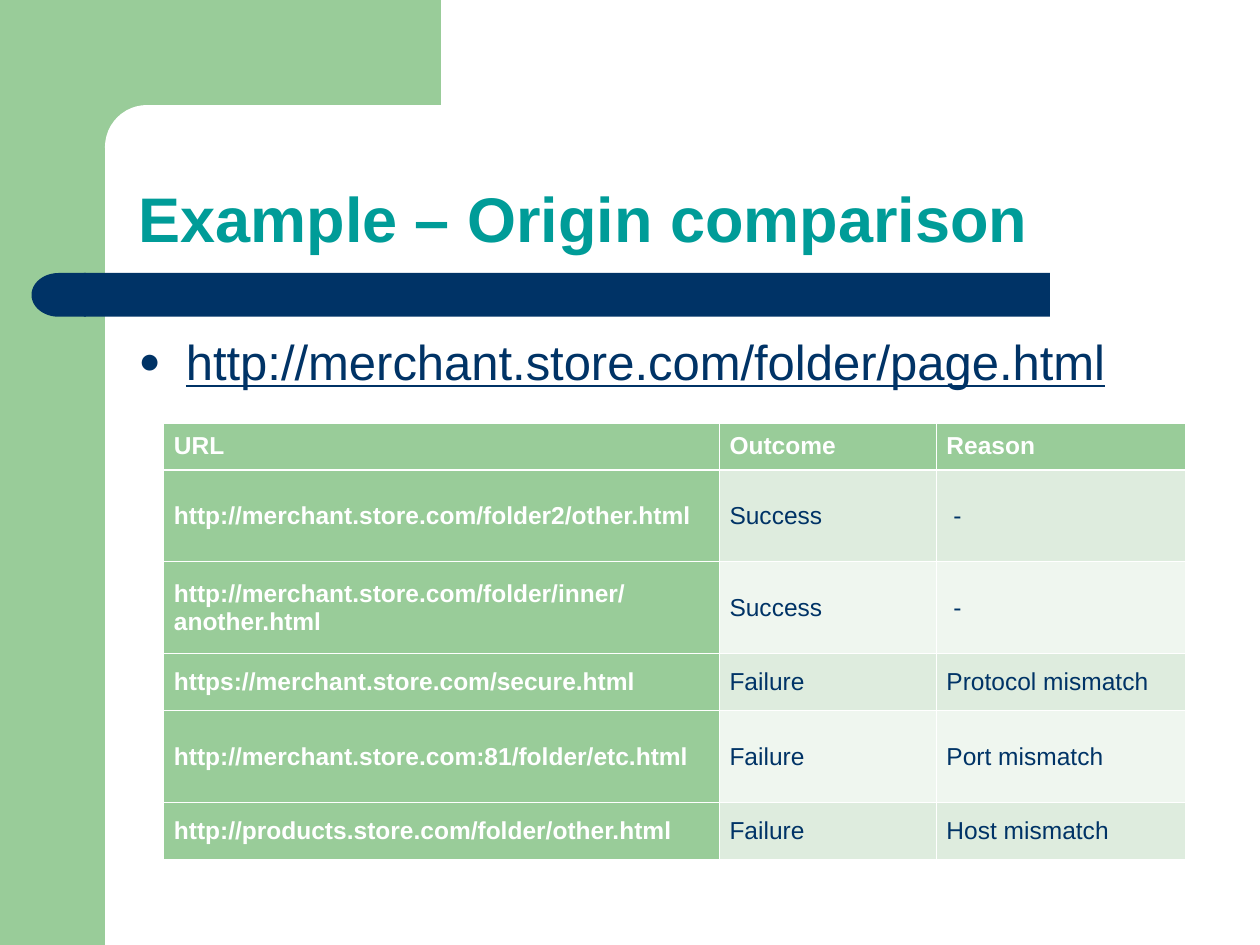
from dataclasses import dataclass

from lxml.etree import SubElement
from pptx import Presentation
from pptx.dml.color import RGBColor
from pptx.enum.shapes import MSO_SHAPE
from pptx.enum.text import MSO_ANCHOR, MSO_AUTO_SIZE, PP_ALIGN
from pptx.oxml.ns import qn
from pptx.util import Pt

GREEN, NAVY, TEAL, WHITE = "99CC99", "003366", "009C98", "FFFFFF"
BANDS = ("DEECDE", "EFF6EF")
THIN, THICK = 0.45, 1.47


@dataclass(frozen=True)
class Panel:
    kind: MSO_SHAPE
    left: float
    top: float
    width: float
    height: float
    color: str
    corner: float | None = None
    turn: float = 0


@dataclass(frozen=True)
class Comparison:
    url: str
    outcome: str
    reason: str
    height: float


PANELS = (
    Panel(MSO_SHAPE.RECTANGLE, 0, 0, 60, 540, GREEN),
    Panel(MSO_SHAPE.RECTANGLE, 54, 0, 198, 84, GREEN),
    Panel(MSO_SHAPE.ROUNDED_RECTANGLE, 60, 60, 402, 48, WHITE, corner=0.5),
    Panel(MSO_SHAPE.ROUNDED_RECTANGLE, 48, 156, 552, 25, NAVY, corner=0),
    Panel(MSO_SHAPE.FLOWCHART_DELAY, 18, 156, 31, 25, NAVY, turn=180),
)

COMPARISONS = (
    Comparison("URL", "Outcome", "Reason", 26.6),
    Comparison("http://merchant.store.com/folder2/other.html", "Success", " -", 52.6),
    Comparison("http://merchant.store.com/folder/inner/another.html", "Success", " -", 52.6),
    Comparison("https://merchant.store.com/secure.html", "Failure", "Protocol mismatch", 32.6),
    Comparison("http://merchant.store.com:81/folder/etc.html", "Failure", "Port mismatch", 52.6),
    Comparison("http://products.store.com/folder/other.html", "Failure", "Host mismatch", 32.6),
)
COLUMN_WIDTHS = (317.5, 124, 142.5)


def rgb(color: str) -> RGBColor:
    return RGBColor.from_string(color)


def style(paragraph, size: float, color: str, bold: bool = False) -> None:
    font = paragraph.font
    font.name, font.size, font.bold = "Arial", Pt(size), bold
    font.color.rgb = rgb(color)


def draw_panel(slide, panel: Panel) -> None:
    shape = slide.shapes.add_shape(
        panel.kind, Pt(panel.left), Pt(panel.top), Pt(panel.width), Pt(panel.height)
    )
    shape.shadow.inherit = False
    shape.fill.solid()
    shape.fill.fore_color.rgb = rgb(panel.color)
    shape.line.fill.background()
    shape.rotation = panel.turn
    if panel.corner is not None:
        shape.adjustments[0] = panel.corner


def fill_placeholder(placeholder, text: str, top: float, height: float, anchor: MSO_ANCHOR):
    """Place the placeholder in front of the panels and return its paragraph."""
    placeholder.left, placeholder.top = Pt(72), Pt(top)
    placeholder.width, placeholder.height = Pt(630), Pt(height)
    placeholder.element.getparent().append(placeholder.element)
    frame = placeholder.text_frame
    frame.text = text
    frame.auto_size = MSO_AUTO_SIZE.NONE
    frame.vertical_anchor = anchor
    paragraph = frame.paragraphs[0]
    paragraph.alignment = PP_ALIGN.LEFT
    return paragraph


def add_bullet(paragraph, color: str, percent: int, indent: float) -> None:
    properties = paragraph._p.get_or_add_pPr()
    properties.set("marL", str(Pt(indent)))
    properties.set("indent", str(-Pt(indent)))
    bullet_color = SubElement(properties, qn("a:buClr"))
    SubElement(bullet_color, qn("a:srgbClr"), val=color)
    SubElement(properties, qn("a:buSzPct"), val=str(percent * 1000))
    SubElement(properties, qn("a:buFont"), typeface="Arial")
    SubElement(properties, qn("a:buChar"), char="●")


def add_borders(cell, top: float, bottom: float) -> None:
    properties = cell._tc.get_or_add_tcPr()
    for side, width in (("L", THIN), ("R", THIN), ("T", top), ("B", bottom)):
        line = SubElement(properties, qn(f"a:ln{side}"), w=str(Pt(width)))
        SubElement(SubElement(line, qn("a:solidFill")), qn("a:srgbClr"), val=WHITE)


def format_cell(cell, text: str, row: int, column: int) -> None:
    is_heading = row == 0 or column == 0
    add_borders(cell, THICK if row == 1 else THIN, THICK if row == 0 else THIN)
    cell.fill.solid()
    cell.fill.fore_color.rgb = rgb(GREEN if is_heading else BANDS[(row - 1) % 2])
    cell.vertical_anchor = MSO_ANCHOR.MIDDLE
    cell.margin_left = cell.margin_right = Pt(5.8)
    cell.margin_top = cell.margin_bottom = Pt(3.6)
    cell.text = text
    paragraph = cell.text_frame.paragraphs[0]
    paragraph.alignment = PP_ALIGN.JUSTIFY
    style(paragraph, 14, WHITE if is_heading else NAVY, bold=is_heading)


def draw_comparisons(slide) -> None:
    table = slide.shapes.add_table(
        len(COMPARISONS), len(COLUMN_WIDTHS), Pt(93.6), Pt(241.8),
        Pt(sum(COLUMN_WIDTHS)), Pt(sum(entry.height for entry in COMPARISONS)),
    ).table
    table.first_row = table.horz_banding = False
    for column, width in zip(table.columns, COLUMN_WIDTHS):
        column.width = Pt(width)
    for row, entry in enumerate(COMPARISONS):
        table.rows[row].height = Pt(entry.height)
        for column, text in enumerate((entry.url, entry.outcome, entry.reason)):
            format_cell(table.cell(row, column), text, row, column)


def main() -> None:
    presentation = Presentation()
    presentation.slide_width, presentation.slide_height = Pt(720), Pt(540)
    slide = presentation.slides.add_slide(presentation.slide_layouts[1])
    for panel in PANELS:
        draw_panel(slide, panel)

    title = fill_placeholder(
        slide.shapes.title, "Example – Origin comparison", 60, 90, MSO_ANCHOR.BOTTOM
    )
    title.line_spacing = 0.9
    style(title, 36, TEAL, bold=True)

    page_url = fill_placeholder(
        slide.placeholders[1], "http://merchant.store.com/folder/page.html",
        186, 294, MSO_ANCHOR.TOP,
    )
    page_url.space_before = Pt(7)
    add_bullet(page_url, NAVY, percent=75, indent=27)
    style(page_url, 28, NAVY)
    page_url.font.underline = True

    draw_comparisons(slide)
    presentation.save("out.pptx")


if __name__ == "__main__":
    main()
